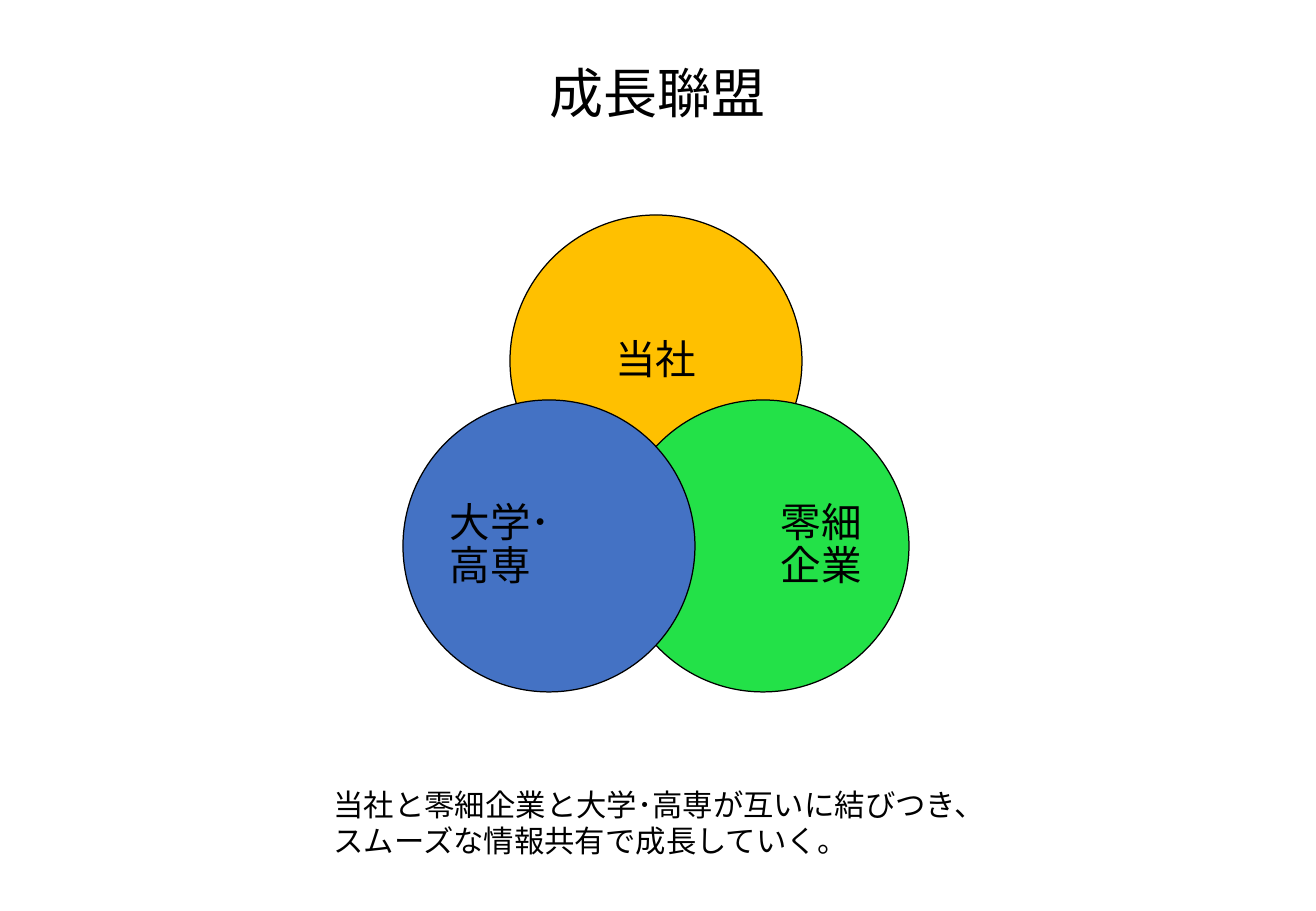
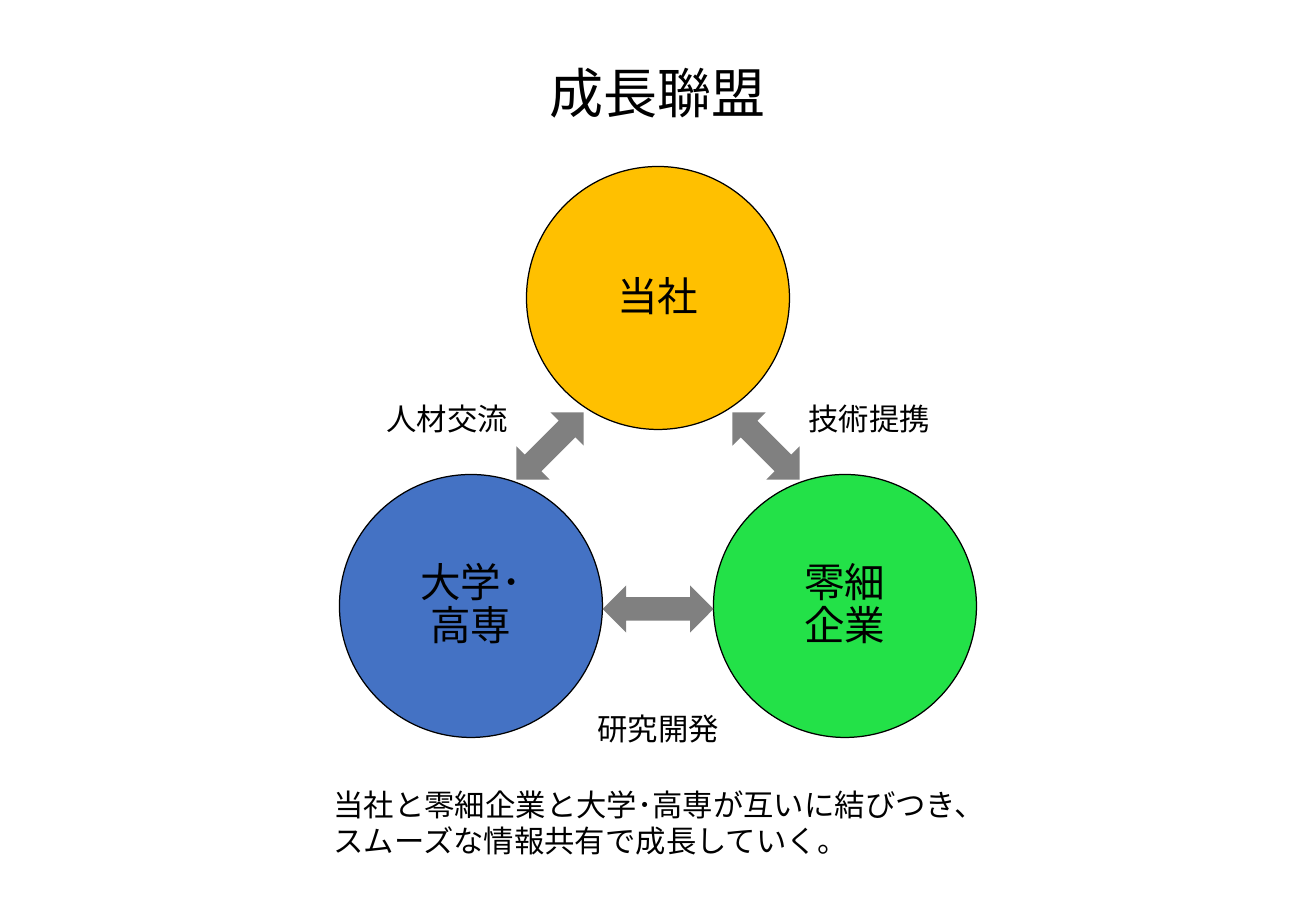
"""Builds two slides on a growth alliance of three partners."""
from pptx import Presentation
from pptx.dml.color import RGBColor
from pptx.enum.lang import MSO_LANGUAGE_ID
from pptx.enum.shapes import MSO_SHAPE
from pptx.enum.text import MSO_ANCHOR, MSO_AUTO_SIZE, PP_ALIGN
from pptx.util import Emu, Pt

OVAL, ARROW = MSO_SHAPE.OVAL, MSO_SHAPE.UP_DOWN_ARROW
LEFT, CENTER, RIGHT = PP_ALIGN.LEFT, PP_ALIGN.CENTER, PP_ALIGN.RIGHT
TOP, MIDDLE = MSO_ANCHOR.TOP, MSO_ANCHOR.MIDDLE
GROW = MSO_AUTO_SIZE.SHAPE_TO_FIT_TEXT
JAPANESE = MSO_LANGUAGE_ID.JAPANESE

BLACK = RGBColor(0x00, 0x00, 0x00)
AMBER = RGBColor(0xFF, 0xC0, 0x00)
GREEN = RGBColor(0x23, 0xE1, 0x48)
BLUE = RGBColor(0x44, 0x72, 0xC4)
GRAY = RGBColor(0x80, 0x80, 0x80)

EMU_PER_PIXEL = 914400 / 121.5
SLIDE_WIDTH, SLIDE_HEIGHT = 1316, 911
MIDDLE_X = SLIDE_WIDTH // 2
TITLE_ONLY = 5
OVAL_INSET = 0.1464  # share of an oval's size outside its text area
TEXT_MARGIN = 47

TITLE = "成長聯盟"
CAPTION = "当社と零細企業と大学･高専が互いに結びつき、スムーズな情報共有で成長していく。"
COMPANY = ("当社", AMBER)
SMALL_FIRMS = ("零細\v企業", GREEN)
SCHOOLS = ("大学･\v高専", BLUE)


def px(pixels):
    """Turn pixels into EMU."""
    return Emu(round(pixels * EMU_PER_PIXEL))


def centered(x, y, width, height):
    """Return the EMU frame of a box centred on a point."""
    return [px(v) for v in (x - width / 2, y - height / 2, width, height)]


class AllianceDeck:
    """Holds the deck, its style and the current slide."""

    title_font, text_font = "Noto Sans CJK JP", "Calibri"

    def __init__(self):
        """Start an empty deck of the right size."""
        self.deck = Presentation()
        self.deck.slide_width = px(SLIDE_WIDTH)
        self.deck.slide_height = px(SLIDE_HEIGHT)
        self.slide = None

    def set_text(self, shape, text, size, align, font=text_font, anchor=TOP):
        """Put styled text into a shape."""
        frame = shape.text_frame
        frame.text = text
        frame.vertical_anchor = anchor
        for para in frame.paragraphs:
            para.alignment = align
            for span in para.runs:
                span.font.name, span.font.size = font, Pt(size)
                span.font.color.rgb = BLACK
                span.font.language_id = JAPANESE
        return frame

    def add_page(self):
        """Add a slide with the shared title and caption."""
        layout = self.deck.slide_layouts[TITLE_ONLY]
        self.slide = self.deck.slides.add_slide(layout)
        title = self.slide.shapes.title
        title.left, title.top, title.width, title.height = centered(
            MIDDLE_X, 92, 243, 78)
        frame = self.set_text(title, TITLE, 32, CENTER, self.title_font)
        frame.word_wrap, frame.auto_size = False, GROW
        self.text(CAPTION, MIDDLE_X, 823, 673, 86, LEFT)

    def text(self, words, x, y, width=182, height=49, align=CENTER):
        """Add a wrapping text box centred on a point."""
        box = self.slide.shapes.add_textbox(*centered(x, y, width, height))
        frame = self.set_text(box, words, 18, align)
        frame.word_wrap, frame.auto_size = True, GROW

    def shape(self, kind, color, x, y, width, height):
        """Add a flat filled shape centred on a point."""
        shape = self.slide.shapes.add_shape(
            kind, *centered(x, y, width, height))
        shape.shadow.inherit = False
        shape.fill.solid()
        shape.fill.fore_color.rgb = color
        return shape

    def circle(self, partner, x, y, size, align=CENTER):
        """Add a partner's outlined circle."""
        name, color = partner
        circle = self.shape(OVAL, color, x, y, size, size)
        circle.line.color.rgb, circle.line.width = BLACK, Pt(0.75)
        frame = self.set_text(circle, name, 24, align, anchor=MIDDLE)
        frame.word_wrap = True
        margin = px(TEXT_MARGIN - size * OVAL_INSET)
        frame.margin_left = frame.margin_right = margin
        frame.margin_top = frame.margin_bottom = margin
        frame.paragraphs[0].line_spacing = 0.9

    def arrow(self, x, y, length, angle):
        """Add a two-headed arrow turned by an angle."""
        arrow = self.shape(ARROW, GRAY, x, y, 47, length)
        arrow.line.fill.background()
        arrow.rotation = angle


def build_overlap(alliance):
    """Build the slide with overlapping circles."""
    alliance.add_page()
    x, spread, low, size = 656, 107, 546, 292
    alliance.circle(COMPANY, x, 361, size)
    alliance.circle(SMALL_FIRMS, x + spread, low, size, RIGHT)
    alliance.circle(SCHOOLS, x - spread, low, size, LEFT)


def build_cycle(alliance):
    """Build the slide with circles joined by arrows."""
    alliance.add_page()
    x, spread, low, size = MIDDLE_X, 187, 606, 263
    alliance.circle(COMPANY, x, 298, size)
    alliance.circle(SMALL_FIRMS, x + spread, low, size)
    alliance.circle(SCHOOLS, x - spread, low, size)
    for side, exchange in ((-1, "人材交流"), (1, "技術提携")):
        alliance.arrow(x + side * 108, 446, 95, -45 * side)
        alliance.text(exchange, x + side * 211, 419)
    alliance.arrow(x, 609, 111, 90)
    alliance.text("研究開発", x, 729)


def main():
    """Build and save the deck."""
    alliance = AllianceDeck()
    build_overlap(alliance)
    build_cycle(alliance)
    alliance.deck.save("out.pptx")


main()
